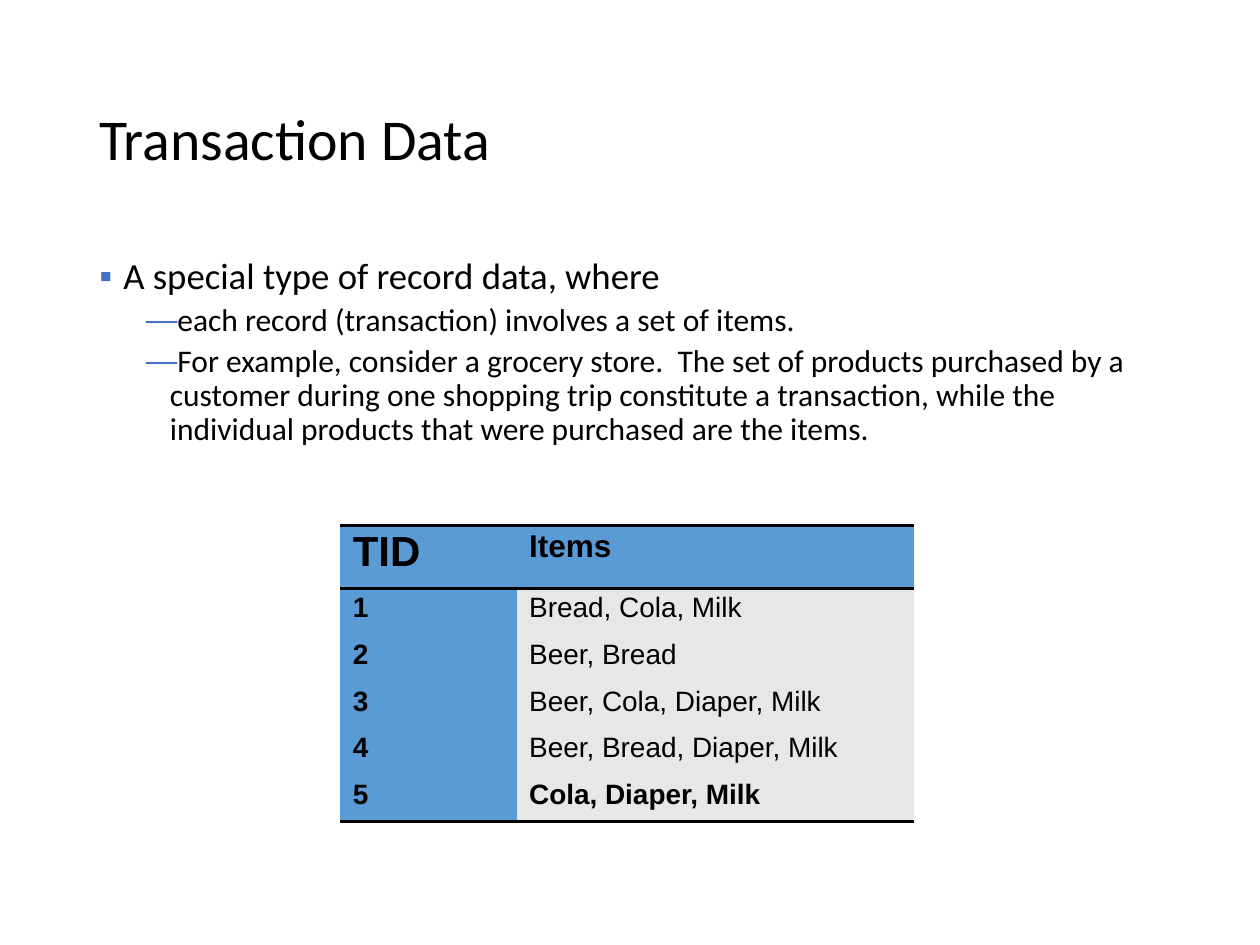
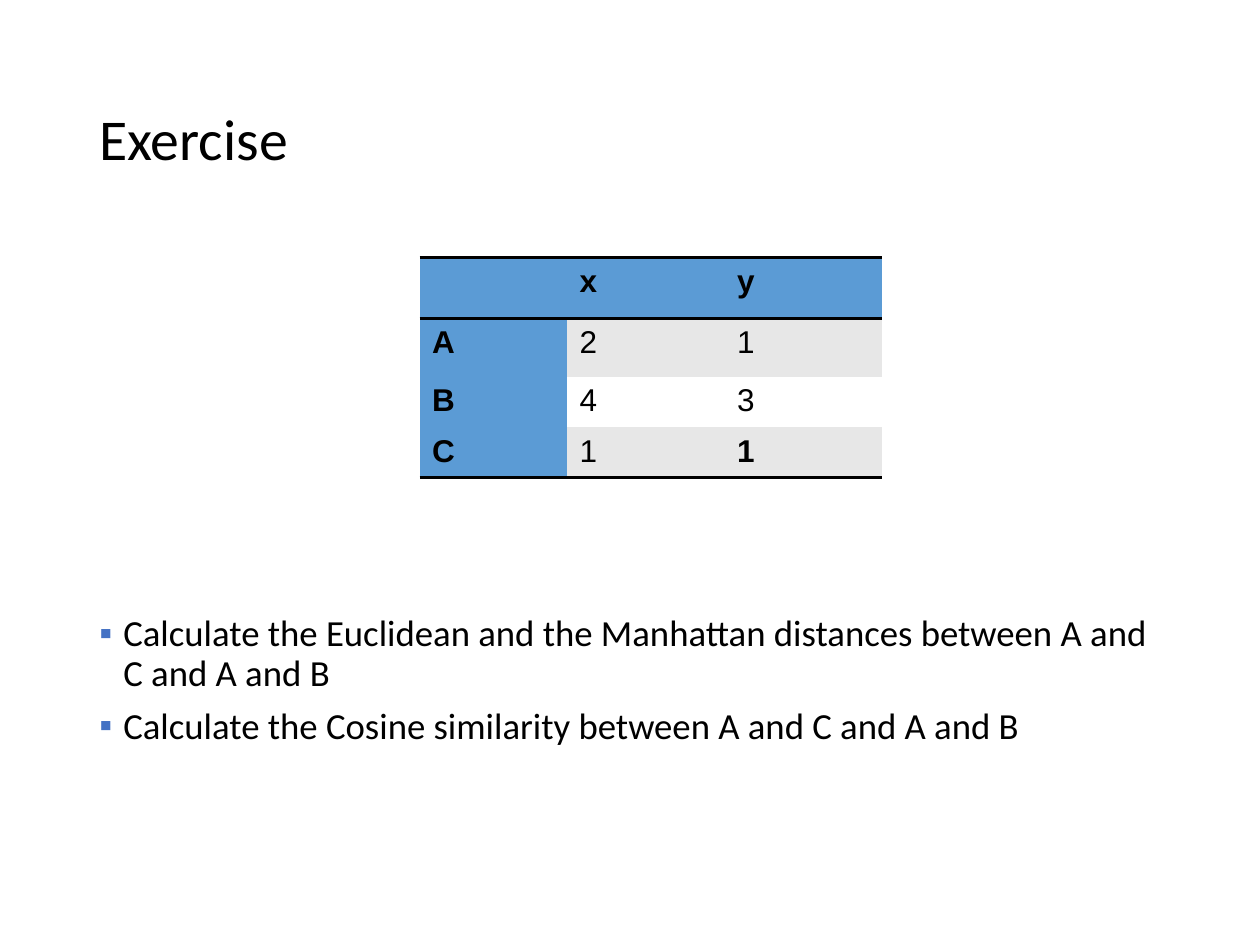
from dataclasses import dataclass

from lxml.etree import SubElement as Sub
from pptx import Presentation
from pptx.dml.color import RGBColor as RGB
from pptx.enum.text import MSO_ANCHOR as Anchor
from pptx.oxml.ns import qn
from pptx.util import Inches, Pt


@dataclass(frozen=True)
class Theme:
    """Colours, fonts and type sizes shared by the slides."""
    text_font: str = "Calibri"
    table_font: str = "Arial"
    ink: str = "000000"
    bullet: str = "4472C4"
    header: str = "5B9BD5"
    band: str = "E7E7E7"
    white: str = "FFFFFF"
    title_size: int = 33
    body_sizes: tuple = (21, 18)
    space_before: tuple = (7.5, 3.8)
    bullet_chars: tuple = ("▪", "—")
    bullet_margins: tuple = (0.19, 0.56)
    no_table_style: str = "{2D5ABB26-0587-4C30-8999-92F81FD0307C}"


THEME = Theme()
LEFT, WIDTH = 0.69, 8.62


def set_font(p, name, size, bold=False):
    """Set the font of a whole paragraph."""
    p.font.name = name
    p.font.size = Pt(size)
    p.font.bold = bold
    p.font.color.rgb = RGB.from_string(THEME.ink)


def add_text_frame(slide, top, height):
    """Add a wrapping text box in the content column."""
    box = slide.shapes.add_textbox(
        Inches(LEFT), Inches(top), Inches(WIDTH), Inches(height))
    box.text_frame.word_wrap = True
    return box.text_frame


def add_title(slide, text):
    """Add the slide title."""
    tf = add_text_frame(slide, 0.4, 1.45)
    tf.vertical_anchor = Anchor.MIDDLE
    p = tf.paragraphs[0]
    p.text = text
    p.line_spacing = 0.9
    set_font(p, THEME.text_font, THEME.title_size)


def add_bullet(p, level):
    """Give a paragraph the hanging bullet of its level."""
    pPr = p._p.get_or_add_pPr()
    pPr.set("marL", str(Inches(THEME.bullet_margins[level])))
    pPr.set("indent", str(-Inches(THEME.bullet_margins[0])))
    Sub(Sub(pPr, qn("a:buClr")), qn("a:srgbClr"), val=THEME.bullet)
    Sub(pPr, qn("a:buFont"), typeface=THEME.table_font)
    Sub(pPr, qn("a:buChar"), char=THEME.bullet_chars[level])


def add_bullets(slide, top, height, items):
    """Add a bulleted list of (level, text) items."""
    tf = add_text_frame(slide, top, height)
    for i, (level, text) in enumerate(items):
        p = tf.add_paragraph() if i else tf.paragraphs[0]
        p.text = text
        p.level = level
        p.line_spacing = 0.9
        if i:
            p.space_before = Pt(THEME.space_before[level])
        add_bullet(p, level)
        set_font(p, THEME.text_font, THEME.body_sizes[level])


def add_rule(cell, side):
    """Draw a black rule on one side of a table cell."""
    ln = Sub(cell._tc.get_or_add_tcPr(), qn(f"a:{side}"), w=str(Pt(2)))
    Sub(Sub(ln, qn("a:solidFill")), qn("a:srgbClr"), val=THEME.ink)


def fill_cell(cell, text, size, bold, color, top_inset):
    """Write and colour one table cell."""
    cell.margin_top = Inches(top_inset)
    cell.fill.solid()
    cell.fill.fore_color.rgb = RGB.from_string(color)
    p = cell.text_frame.paragraphs[0]
    p.text = text
    p.line_spacing = 0.93
    set_font(p, THEME.table_font, size, bold)


def add_data_table(slide, left, top, widths, heights, rows, header_sizes,
                   body_size, bands, top_inset=0.05):
    """Add a ruled table with a coloured header row and first column."""
    table = slide.shapes.add_table(
        len(rows), len(widths), Inches(left), Inches(top),
        Inches(sum(widths)), Inches(sum(heights))).table
    table.first_row = table.horz_banding = False
    table._tbl.tblPr.find(qn("a:tableStyleId")).text = THEME.no_table_style
    for column, width in zip(table.columns, widths):
        column.width = Inches(width)
    for row, height in zip(table.rows, heights):
        row.height = Inches(height)
    last = len(rows) - 1, len(widths) - 1
    for r, values in enumerate(rows):
        for c, text in enumerate(values):
            cell = table.cell(r, c)
            if r == 0:
                add_rule(cell, "lnT")
            if r in (0, last[0]):
                add_rule(cell, "lnB")
            heading = r == 0 or c == 0
            color = THEME.header if heading else bands[(r - 1) % len(bands)]
            size = body_size if r else header_sizes[c]
            bold = heading or (r, c) == last
            fill_cell(cell, text, size, bold, color, top_inset)


def add_transaction_slide(prs):
    """Add the slide on transaction data."""
    slide = prs.slides.add_slide(prs.slide_layouts[6])
    add_title(slide, "Transaction Data")
    add_bullets(slide, 2, 4.76, [
        (0, "A special type of record data, where"),
        (1, "each record (transaction) involves a set of items."),
        (1, "For example, consider a grocery store.  The set of products "
            "purchased by a customer during one shopping trip constitute a "
            "transaction, while the individual products that were purchased "
            "are the items."),
    ])
    baskets = ["Bread, Cola, Milk", "Beer, Bread", "Beer, Cola, Diaper, Milk",
               "Beer, Bread, Diaper, Milk", "Cola, Diaper, Milk"]
    rows = [("TID", "Items")]
    rows += [(str(tid), items) for tid, items in enumerate(baskets, 1)]
    add_data_table(slide, 2.7, 4.17, [1.4, 3.15], [0.5] + [0.37] * 5, rows,
                   header_sizes=(24, 18), body_size=16, bands=[THEME.band])


def add_exercise_slide(prs):
    """Add the distance and similarity exercise slide."""
    slide = prs.slides.add_slide(prs.slide_layouts[6])
    add_title(slide, "Exercise")
    add_bullets(slide, 4.83, 1.92, [
        (0, "Calculate the Euclidean and the Manhattan distances between "
            "A and C and A and B"),
        (0, "Calculate the Cosine similarity between A and C and A and B"),
    ])
    rows = [("", "x", "y"), ("A", "2", "1"), ("B", "4", "3"), ("C", "1", "1")]
    add_data_table(slide, 3.33, 2.04, [1.17, 1.25, 1.25],
                   [0.49, 0.46, 0.4, 0.4], rows, header_sizes=(18, 18, 18),
                   body_size=18, bands=[THEME.band, THEME.white],
                   top_inset=0.07)


def main():
    """Build and save the presentation."""
    prs = Presentation()
    prs.slide_width, prs.slide_height = Inches(10), Inches(7.5)
    add_transaction_slide(prs)
    add_exercise_slide(prs)
    prs.save("out.pptx")


if __name__ == "__main__":
    main()
